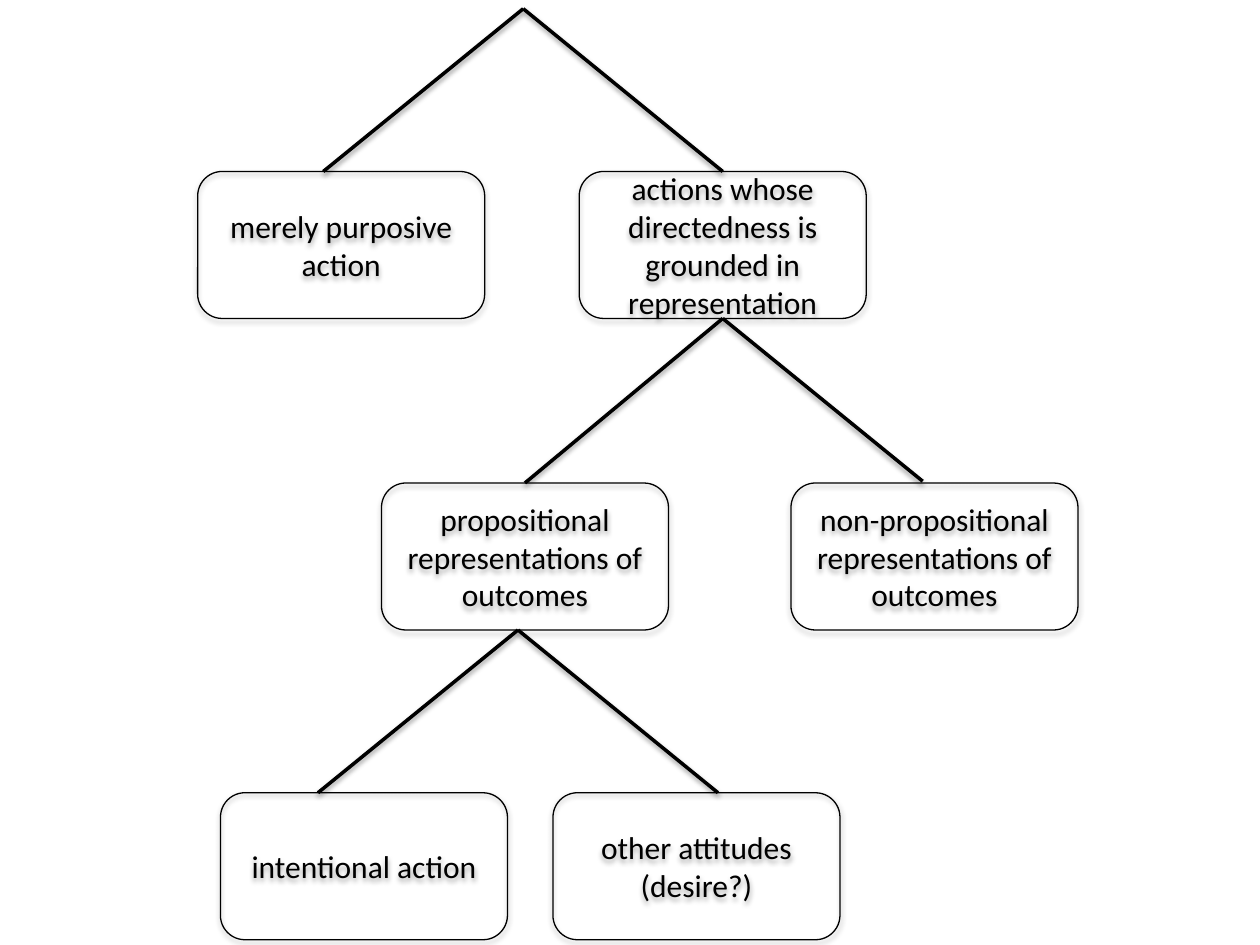
from lxml.etree import SubElement
from pptx import Presentation
from pptx.dml.color import RGBColor
from pptx.enum.shapes import MSO_CONNECTOR as CONN, MSO_SHAPE as SHAPE
from pptx.enum.text import MSO_ANCHOR as ANCHOR, PP_ALIGN as ALIGN
from pptx.oxml.ns import qn
from pptx.util import Pt

BOX_W, BOX_H = 164, 84
SPREAD, DROP = 114.25, 93
TOP, BOTTOM = 0, 2

NODES = {
    "purposive": (113, 93, "merely purposive action"),
    "grounded": (331, 93, "actions whose directedness is grounded in representation"),
    "propositional": (218, 271, "propositional representations of outcomes"),
    "non_propositional": (452, 271, "non-propositional representations of outcomes"),
    "intentional": (126, 448, "intentional action"),
    "other": (316, 448, "other attitudes (desire?)"),
}


def color(hex_str):
    return RGBColor.from_string(hex_str)


def set_line(sp, width, hex_str="000000"):
    sp.line.color.rgb = color(hex_str)
    sp.line.width = Pt(width)


def add_shadow(sp, opacity, distance, blur=3.1, hex_str="000000"):
    effects = SubElement(sp._element.spPr, qn("a:effectLst"))
    shadow = SubElement(effects, qn("a:outerShdw"), blurRad=str(Pt(blur)),
                        dist=str(Pt(distance)), dir=str(90 * 60000), rotWithShape="0")
    clr = SubElement(shadow, qn("a:srgbClr"), val=hex_str)
    SubElement(clr, qn("a:alpha"), val=str(opacity * 1000))


def set_text(sp, text, size=18, font="Calibri", hex_str="000000",
             align=ALIGN.CENTER, anchor=ANCHOR.MIDDLE):
    tf = sp.text_frame
    tf.word_wrap = True
    tf.vertical_anchor = anchor
    p = tf.paragraphs[0]
    p.alignment = align
    r = p.add_run()
    r.text = text
    r.font.size = Pt(size)
    r.font.name = font
    r.font.color.rgb = color(hex_str)


def add_node(s, x, y, text):
    sp = s.shapes.add_shape(SHAPE.ROUNDED_RECTANGLE, Pt(x), Pt(y), Pt(BOX_W), Pt(BOX_H))
    sp.fill.background()
    set_line(sp, 0.75)
    add_shadow(sp, opacity=35, distance=1.8)
    set_text(sp, text)
    return sp


def add_fork(s, x, y, parent=None, left=None, right=None):
    for side, child in ((1, right), (-1, left)):
        line = s.shapes.add_connector(CONN.STRAIGHT, Pt(x), Pt(y),
                                      Pt(x + side * SPREAD), Pt(y + DROP))
        if parent is not None:
            line.begin_connect(parent, BOTTOM)
        if child is not None:
            line.end_connect(child, TOP)
        set_line(line, 2)
        add_shadow(line, opacity=38, distance=1.6)


def add_tree(s, x, y):
    nodes = {name: add_node(s, x + dx, y + dy, text)
             for name, (dx, dy, text) in NODES.items()}
    add_fork(s, x + 299, y, right=nodes["grounded"])
    add_fork(s, x + 413, y + 177, parent=nodes["grounded"], left=nodes["propositional"])
    add_fork(s, x + 296, y + 355)


def main():
    prs = Presentation()
    prs.slide_width, prs.slide_height = Pt(720), Pt(540)
    s = prs.slides.add_slide(prs.slide_layouts[6])
    add_tree(s, 0, 5)
    prs.save("out.pptx")


if __name__ == "__main__":
    main()
